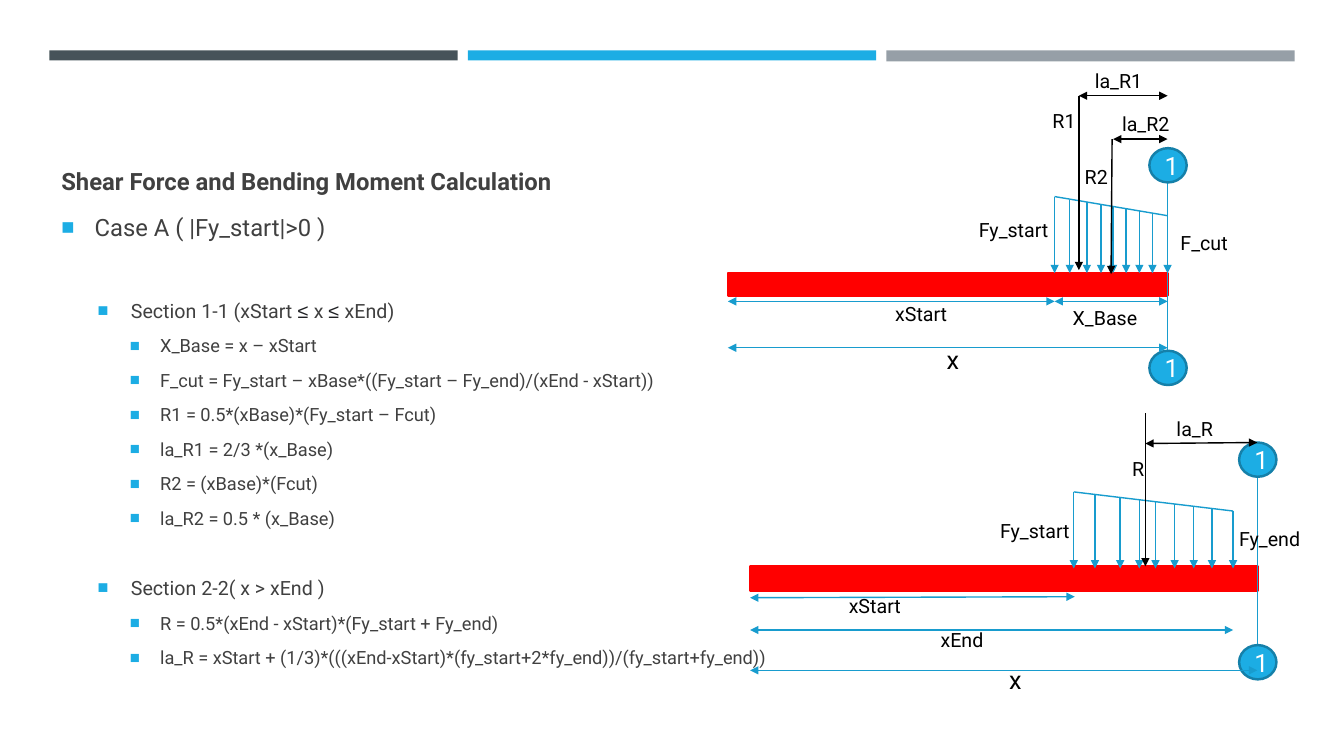
"""Build the shear force and bending moment calculation slide."""
from lxml.etree import SubElement
from pptx import Presentation
from pptx.dml.color import RGBColor
from pptx.enum.shapes import MSO_CONNECTOR as LINE, MSO_SHAPE as SHAPE
from pptx.enum.text import MSO_ANCHOR as ANCHOR, PP_ALIGN as ALIGN
from pptx.oxml.ns import qn
from pptx.util import Emu, Pt

PX = 9144
COLORS = {"slate": "465359", "blue": "1CADE4", "gray": "969FA7", "body": "404040",
          "symbol": "202124", "red": "FF0000", "load": "189CCE", "rim": "1580A9",
          "black": "000000", "white": "FFFFFF"}
BARS = [(49, 10, "slate"), (464, 10, "blue"), (879, 11, "gray")]

STYLES = {
    "title": {"size": 17, "before": 4, "spacing": 1.1, "indent": None},
    "case": {"size": 17, "before": 4, "spacing": 1.1, "indent": (33, -33)},
    "section1": {"size": 14, "before": 35, "spacing": 1.0, "indent": (69, -33)},
    "section2": {"size": 14, "before": 27.5, "spacing": 1.0, "indent": (69, -33)},
    "formula": {"size": 13, "before": 3, "spacing": 1.0, "indent": (98, -30)},
}
BODY = [
    ("title", "Shear Force and Bending Moment Calculation"),
    ("case", "Case A ( |Fy_start|>0 )"),
    ("section1", "Section 1-1 (xStart ≤ x ≤ xEnd)"),
    ("formula", "X_Base = x – xStart"),
    ("formula", "F_cut = Fy_start – xBase*((Fy_start – Fy_end)/(xEnd - xStart))"),
    ("formula", "R1 = 0.5*(xBase)*(Fy_start – Fcut)"),
    ("formula", "la_R1 = 2/3 *(x_Base)"),
    ("formula", "R2 = (xBase)*(Fcut)"),
    ("formula", "la_R2 = 0.5 * (x_Base)"),
    ("section2", "Section 2-2( x > xEnd )"),
    ("formula", "R = 0.5*(xEnd - xStart)*(Fy_start + Fy_end)"),
    ("formula", "la_R = xStart + (1/3)*(((xEnd-xStart)*(fy_start+2*fy_end))/(fy_start+fy_end))"),
]

DIAGRAMS = [
    {"beam": (722, 271, 436, 22), "load_x": [1046, 1061, 1078, 1092, 1104, 1117, 1130, 1143, 1158],
     "load_y": (195, 214, 271), "cut": (1158, 177, 363), "marks": (147, 348),
     "dims": [(1158, 299, 1046, 299), (722, 345, 1158, 345), (722, 299, 1046, 299)],
     "forces": [(1070, 95, 1070, 268), (1103, 138, 1102, 272)],
     "arms": [(1104, 138, 1158, 138), (1070, 95, 1158, 95)],
     "labels": [("xStart", 878, 295, 104, 14), ("X_Base", 1054, 299, 145, 14),
                ("x", 929, 337, 68, 18), ("la_R2", 1103, 106, 109, 14),
                ("la_R1", 1076, 63, 109, 14), ("R2", 1066, 159, 109, 14),
                ("R1", 1034, 103, 109, 14), ("Fy_start", 961, 211, 109, 14),
                ("F_cut", 1161, 224, 109, 14)]},
    {"beam": (744, 562, 504, 24), "load_x": [1065, 1086, 1111, 1130, 1146, 1165, 1184, 1202, 1223],
     "load_y": (488, 507, 564), "cut": (1247, 468, 655), "marks": (439, 640),
     "dims": [(744, 593, 1066, 592), (744, 625, 1223, 625), (744, 665, 1247, 665)],
     "forces": [(1136, 410, 1136, 562)],
     "arms": [(1136, 440, 1247, 439)],
     "labels": [("Fy_start", 982, 510, 109, 14), ("Fy_end", 1219, 518, 109, 14),
                ("la_R", 1157, 409, 109, 14), ("R", 1113, 448, 109, 14),
                ("xStart", 832, 584, 104, 14), ("xEnd", 923, 618, 92, 14),
                ("x", 991, 654, 68, 18)]},
]


def px(*values):
    return [Emu(v * PX) for v in values]


def rgb(name):
    return RGBColor.from_string(COLORS[name])


def add_run(p, text, size, color, font="Roboto", bold=False):
    r = p.add_run()
    r.text = text
    for key, value in {"name": font, "size": Pt(size), "bold": bold}.items():
        setattr(r.font, key, value)
    r.font.color.rgb = rgb(color)


def add_block(shapes, kind, box, fill, line=None):
    s = shapes.add_shape(kind, *px(*box))
    s.shadow.inherit = False
    s.fill.solid()
    s.fill.fore_color.rgb = rgb(fill)
    if line:
        s.line.color.rgb = rgb(line)
        s.line.width = Pt(1.75)
    else:
        s.line.fill.background()
    return s


def add_line(shapes, ends, color="load", heads=()):
    s = shapes.add_connector(LINE.STRAIGHT, *px(*ends))
    s.line.color.rgb = rgb(color)
    s.line.width = Pt(1)
    for head in heads:
        SubElement(s.line._get_or_add_ln(), qn(f"a:{head}"), type="triangle")
    SubElement(s._element.spPr, qn("a:effectLst"))


def add_text_box(shapes, box):
    tf = shapes.add_textbox(*px(*box)).text_frame
    tf.word_wrap = True
    return tf


def add_bullet(p, margin, indent):
    pPr = p._p.get_or_add_pPr()
    pPr.set("marL", str(margin * PX))
    pPr.set("indent", str(indent * PX))
    SubElement(SubElement(pPr, qn("a:buClr")), qn("a:srgbClr"), val=COLORS["blue"])
    SubElement(pPr, qn("a:buSzPct"), val="92000")
    SubElement(pPr, qn("a:buFont"), typeface="Arial")
    SubElement(pPr, qn("a:buChar"), char="■")


def add_body(shapes):
    tf = add_text_box(shapes, (51, 95, 1235, 596))
    tf.vertical_anchor = ANCHOR.TOP
    tf.margin_top = Emu(68 * PX)
    for i, (kind, text) in enumerate(BODY):
        style = STYLES[kind]
        p = tf.add_paragraph() if i else tf.paragraphs[0]
        for key, value in {"line_spacing": style["spacing"], "space_before": Pt(style["before"]),
                           "space_after": Pt(6)}.items():
            setattr(p, key, value)
        if style["indent"]:
            add_bullet(p, *style["indent"])
        for j, part in enumerate(text.split("≤ ")):
            if j:
                add_run(p, "≤ ", style["size"], "symbol", "Arial")
            add_run(p, part, style["size"], "body", bold=kind == "title")


def add_diagram(shapes, d):
    both = ("headEnd", "tailEnd")
    add_block(shapes, SHAPE.RECTANGLE, d["beam"], "red", "red")
    xs, (y0, y1, bottom) = d["load_x"], d["load_y"]
    add_line(shapes, (xs[0], y0, xs[-1], y1))
    for x in xs:
        top = round(y0 + (y1 - y0) * (x - xs[0]) / (xs[-1] - xs[0]))
        add_line(shapes, (x, top, x, bottom), heads=("tailEnd",))
    cut, top, bottom = d["cut"]
    add_line(shapes, (cut, top, cut, bottom))
    for y in d["marks"]:
        s = add_block(shapes, SHAPE.OVAL, (cut - 18, y, 37, 34), "blue", "rim")
        s.text_frame.vertical_anchor = ANCHOR.MIDDLE
        p = s.text_frame.paragraphs[0]
        p.alignment = ALIGN.CENTER
        add_run(p, "1", 18, "white")
    for key, color, heads in [("dims", "load", both), ("forces", "black", both[1:]),
                              ("arms", "black", both)]:
        for ends in d[key]:
            add_line(shapes, ends, color, heads)
    for text, x, y, w, size in d["labels"]:
        tf = add_text_box(shapes, (x, y, w, 40 if size == 18 else 34))
        add_run(tf.paragraphs[0], text, size, "black")


def main():
    prs = Presentation()
    prs.slide_width, prs.slide_height = px(1333, 750)
    shapes = prs.slides.add_slide(prs.slide_layouts[6]).shapes
    for x, h, color in BARS:
        add_block(shapes, SHAPE.RECTANGLE, (x, 50, 405, h), color)
    add_body(shapes)
    for d in DIAGRAMS:
        add_diagram(shapes, d)
    prs.save("out.pptx")


if __name__ == "__main__":
    main()
